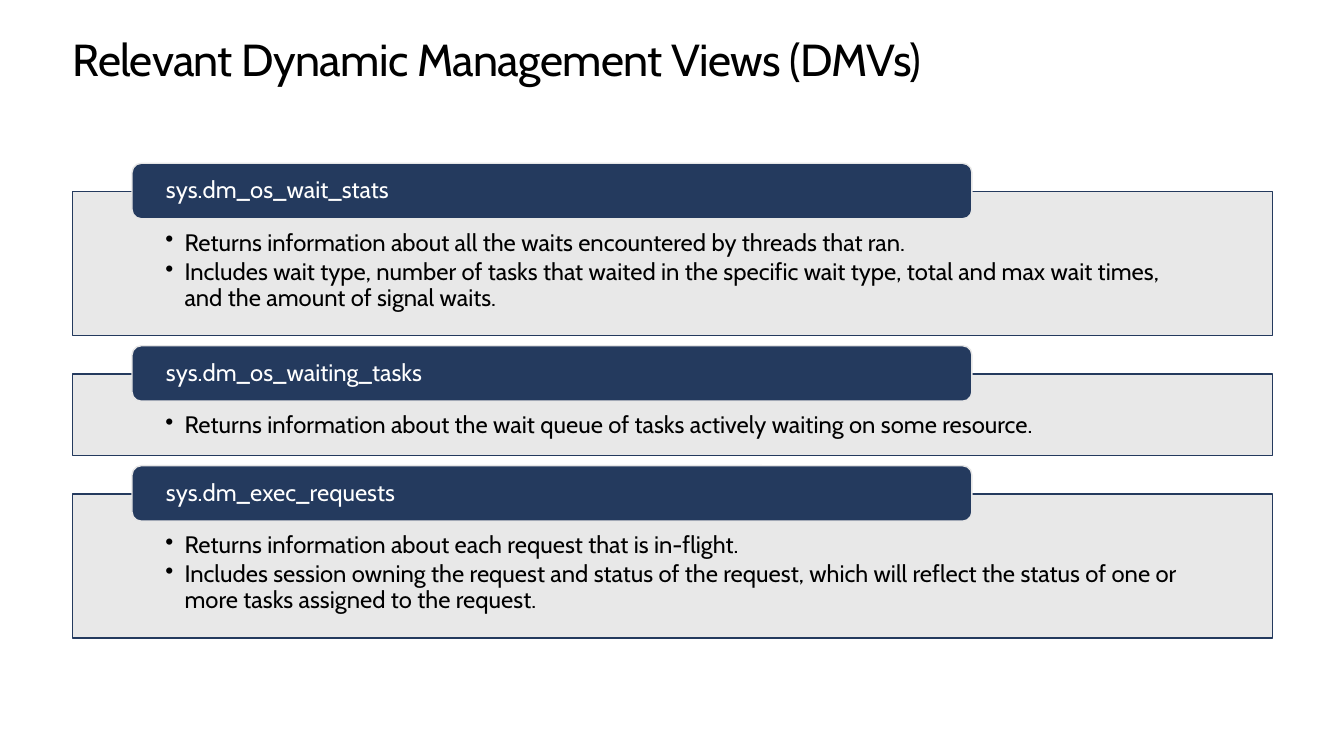
from lxml.etree import SubElement
from pptx import Presentation
from pptx.dml.color import RGBColor
from pptx.enum.shapes import MSO_SHAPE as Shape
from pptx.enum.text import MSO_ANCHOR as Anchor, PP_ALIGN as Align
from pptx.oxml.ns import qn
from pptx.util import Inches, Pt

COLORS = {"navy": "243A5E", "gray": "E6E6E6", "white": "FFFFFF", "black": "000000"}
LEFT, WIDTH = 0.72, 11.9
PANEL_TOP, PANEL_GAP = 1.9, 0.38
TAB_LEFT, TAB_WIDTH, TAB_HEIGHT, TAB_RISE = 1.31, 8.33, 0.55, 0.28

VIEWS = [
    ("sys.dm_os_wait_stats", 1.43, [
        "Returns information about all the waits encountered by threads that ran.",
        "Includes wait type, number of tasks that waited in the specific wait type, "
        "total and max wait times, and the amount of signal waits.",
    ]),
    ("sys.dm_os_waiting_tasks", 0.81, [
        "Returns information about the wait queue of tasks actively waiting on some resource.",
    ]),
    ("sys.dm_exec_requests", 1.43, [
        "Returns information about each request that is in-flight.",
        "Includes session owning the request and status of the request, "
        "which will reflect the status of one or more tasks assigned to the request.",
    ]),
]


class SlideBuilder:
    """Draws the styled parts of one slide."""

    font = "Cabin"

    def __init__(self, deck):
        self.slide = deck.slides.add_slide(deck.slide_layouts[5])

    def color(self, name):
        return RGBColor.from_string(COLORS[name])

    def set_text(self, frame, lines, size, color, insets, anchor, spacing, after=0):
        frame.word_wrap = True
        frame.vertical_anchor = anchor
        (frame.margin_left, frame.margin_top,
         frame.margin_right, frame.margin_bottom) = map(Inches, insets)
        frame.text = "\n".join(lines)
        for paragraph in frame.paragraphs:
            paragraph.alignment = Align.LEFT
            paragraph.line_spacing = spacing
            paragraph.space_before = Pt(0)
            paragraph.space_after = Pt(after)
            paragraph.font.name = self.font
            paragraph.font.size = Pt(size)
            paragraph.font.color.rgb = self.color(color)

    def title(self, text):
        heading = self.slide.shapes.title
        heading.left, heading.top = Inches(LEFT), Inches(0.35)
        heading.width, heading.height = Inches(WIDTH), Inches(0.5)
        self.set_text(heading.text_frame, [text], 32, "black", (0, 0, 0, 0),
                      Anchor.TOP, Pt(36.2))
        run = heading.text_frame.paragraphs[0].runs[0]
        run._r.get_or_add_rPr().set("spc", "-50")

    def box(self, kind, left, top, width, height, fill, line):
        box = self.slide.shapes.add_shape(
            kind, Inches(left), Inches(top), Inches(width), Inches(height))
        box.shadow.inherit = False
        box.fill.solid()
        box.fill.fore_color.rgb = self.color(fill)
        box.line.color.rgb = self.color(line)
        box.line.width = Pt(1)
        return box

    def panel(self, top, height, points):
        panel = self.box(Shape.RECTANGLE, LEFT, top, WIDTH, height, "gray", "navy")
        tint = panel._element.spPr.find(qn("a:solidFill"))[0]
        SubElement(tint, qn("a:alpha"), val="90000")
        self.set_text(panel.text_frame, points, 17, "black", (0.92, 0.39, 0.92, 0.13),
                      Anchor.TOP, 0.9, 2.5)
        for paragraph in panel.text_frame.paragraphs:
            properties = paragraph._p.get_or_add_pPr()
            properties.set("marL", str(Inches(0.19)))
            properties.set("indent", str(Inches(-0.19)))
            bullet = properties.makeelement(qn("a:buChar"), {"char": "•"})
            properties.insert_element_before(
                bullet, "a:tabLst", "a:defRPr", "a:extLst")

    def tab(self, top, name):
        tab = self.box(Shape.ROUNDED_RECTANGLE, TAB_LEFT, top, TAB_WIDTH, TAB_HEIGHT,
                       "navy", "gray")
        self.set_text(tab.text_frame, [name], 17, "white", (0.31, 0, 0.31, 0),
                      Anchor.MIDDLE, 0.9)


def main():
    deck = Presentation()
    deck.slide_width, deck.slide_height = Inches(13.33), Inches(7.5)
    builder = SlideBuilder(deck)
    builder.title("Relevant Dynamic Management Views (DMVs)")
    top = PANEL_TOP
    for name, height, points in VIEWS:
        builder.panel(top, height, points)
        builder.tab(top - TAB_RISE, name)
        top += height + PANEL_GAP
    deck.save("out.pptx")


if __name__ == "__main__":
    main()
